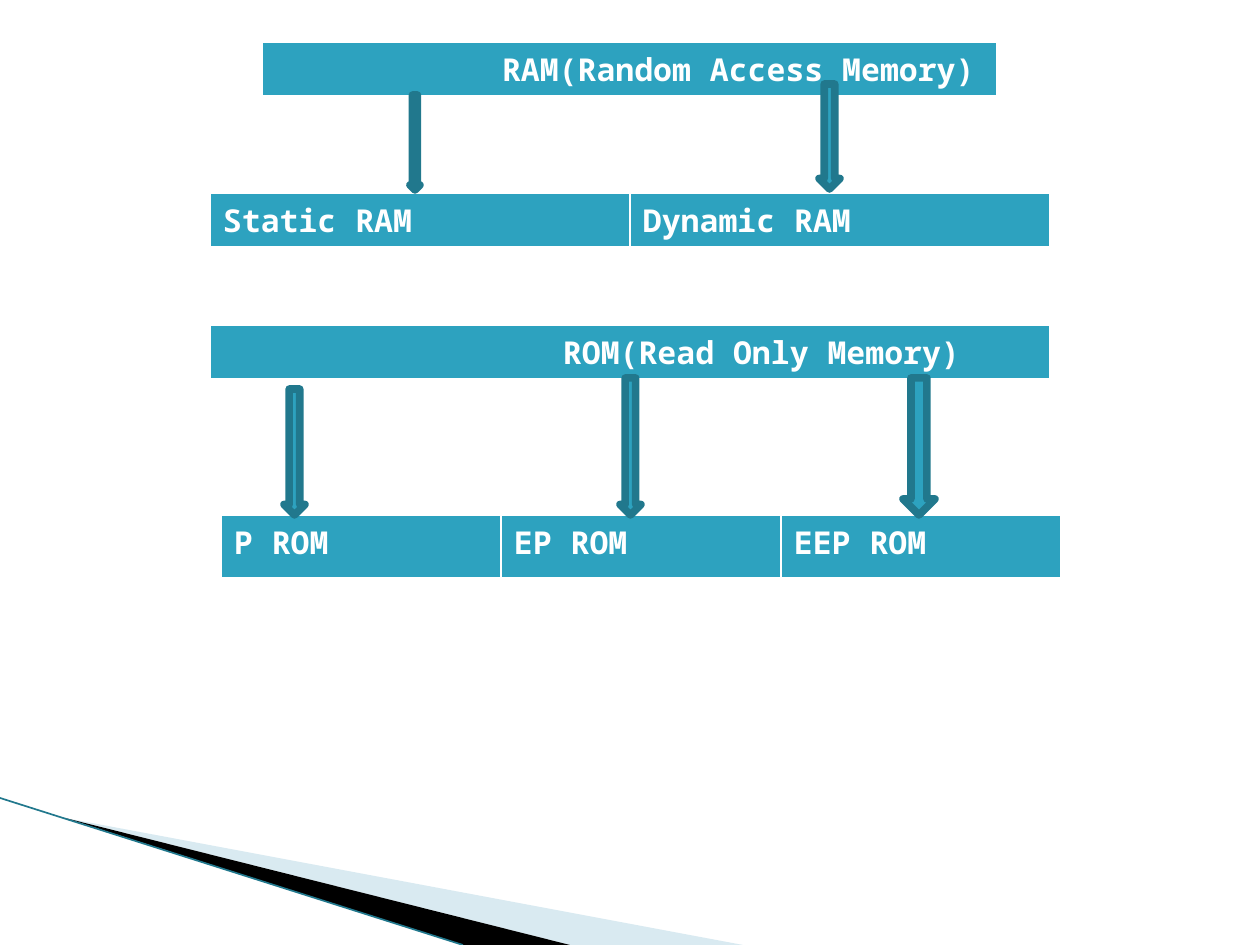
from dataclasses import dataclass

from lxml.etree import SubElement
from pptx import Presentation
from pptx.dml.color import RGBColor
from pptx.enum.shapes import MSO_CONNECTOR, MSO_SHAPE
from pptx.oxml import parse_xml
from pptx.oxml.ns import nsdecls, qn
from pptx.slide import Slide
from pptx.util import Emu, Pt

SCALE = 914400 / 126
FONT = "Noto Sans Mono"
WHITE = RGBColor(0xFF, 0xFF, 0xFF)
BLACK = RGBColor(0x00, 0x00, 0x00)
TEAL = RGBColor(0x2D, 0xA2, 0xBF)
DARK_TEAL = RGBColor(0x21, 0x78, 0x8D)
PALE_BLUE = RGBColor(0xD9, 0xEA, 0xF1)
BORDERS = {"lnL": 1, "lnR": 1, "lnT": 1, "lnB": 3}
CELL_MARGIN = 13


@dataclass(frozen=True)
class Band:
    left: int
    top: int
    width: int
    height: int
    labels: tuple[str, ...]
    indent: int = 0


@dataclass(frozen=True)
class Arrow:
    left: int
    top: int
    width: int
    height: int


@dataclass(frozen=True)
class Wedge:
    points: tuple[tuple[int, int], ...]
    color: RGBColor


WEDGES = (
    Wedge(((65, 818), (743, 945), (570, 945)), PALE_BLUE),
    Wedge(((65, 818), (570, 945), (463, 945)), BLACK),
)
BANDS = (
    Band(262, 42, 735, 52, ("RAM(Random Access Memory)",), 227),
    Band(210, 193, 840, 52, ("Static RAM", "Dynamic RAM")),
    Band(210, 325, 840, 53, ("ROM(Read Only Memory)",), 340),
    Band(221, 515, 840, 64, ("P ROM", "EP ROM", "EEP ROM")),
)
ARROWS = (
    Arrow(410, 95, 10, 95),
    Arrow(819, 84, 21, 105),
    Arrow(284, 389, 21, 126),
    Arrow(620, 378, 21, 137),
    Arrow(903, 378, 32, 137),
)


def px(length: float) -> Emu:
    return Emu(round(length * SCALE))


def add_wedge(slide: Slide, wedge: Wedge) -> None:
    builder = slide.shapes.build_freeform(*wedge.points[0], scale=SCALE)
    builder.add_line_segments(wedge.points[1:], close=True)
    shape = builder.convert_to_shape()
    shape.shadow.inherit = False
    shape.fill.solid()
    shape.fill.fore_color.rgb = wedge.color
    shape.line.fill.background()


def add_edge(slide: Slide) -> None:
    edge = slide.shapes.add_connector(
        MSO_CONNECTOR.STRAIGHT, px(0), px(798), px(463), px(945)
    )
    edge.line.color.rgb = DARK_TEAL
    edge.line.width = Pt(0.95)
    SubElement(edge._element.spPr, qn("a:effectLst"))


def add_borders(cell) -> None:
    properties = cell._tc.get_or_add_tcPr()
    for position, (side, points) in enumerate(BORDERS.items()):
        border = parse_xml(
            f'<a:{side} {nsdecls("a")} w="{Pt(points)}"><a:solidFill>'
            f'<a:srgbClr val="{WHITE}"/></a:solidFill></a:{side}>'
        )
        properties.insert(position, border)


def add_band(slide: Slide, band: Band) -> None:
    columns = len(band.labels)
    frame = slide.shapes.add_table(
        1, columns, px(band.left), px(band.top), px(band.width), px(band.height)
    )
    table = frame.table
    table.horz_banding = False
    for column, label in enumerate(band.labels):
        table.columns[column].width = px(band.width / columns)
        cell = table.cell(0, column)
        cell.margin_left = px(CELL_MARGIN + band.indent)
        cell.fill.solid()
        cell.fill.fore_color.rgb = TEAL
        add_borders(cell)
        span = cell.text_frame.paragraphs[0].add_run()
        span.text = label
        span.font.name = FONT
        span.font.size = Pt(18)
        span.font.bold = True
        span.font.color.rgb = WHITE


def add_arrow(slide: Slide, arrow: Arrow) -> None:
    shape = slide.shapes.add_shape(
        MSO_SHAPE.DOWN_ARROW,
        px(arrow.left),
        px(arrow.top),
        px(arrow.width),
        px(arrow.height),
    )
    shape.shadow.inherit = False
    shape.fill.solid()
    shape.fill.fore_color.rgb = TEAL
    shape.line.color.rgb = DARK_TEAL
    shape.line.width = Pt(4.33)


def main() -> None:
    deck = Presentation()
    deck.slide_width = px(1260)
    deck.slide_height = px(945)
    page = deck.slides.add_slide(deck.slide_layouts[6])
    for wedge in WEDGES:
        add_wedge(page, wedge)
    add_edge(page)
    for band in BANDS:
        add_band(page, band)
    for arrow in ARROWS:
        add_arrow(page, arrow)
    deck.save("out.pptx")


if __name__ == "__main__":
    main()
